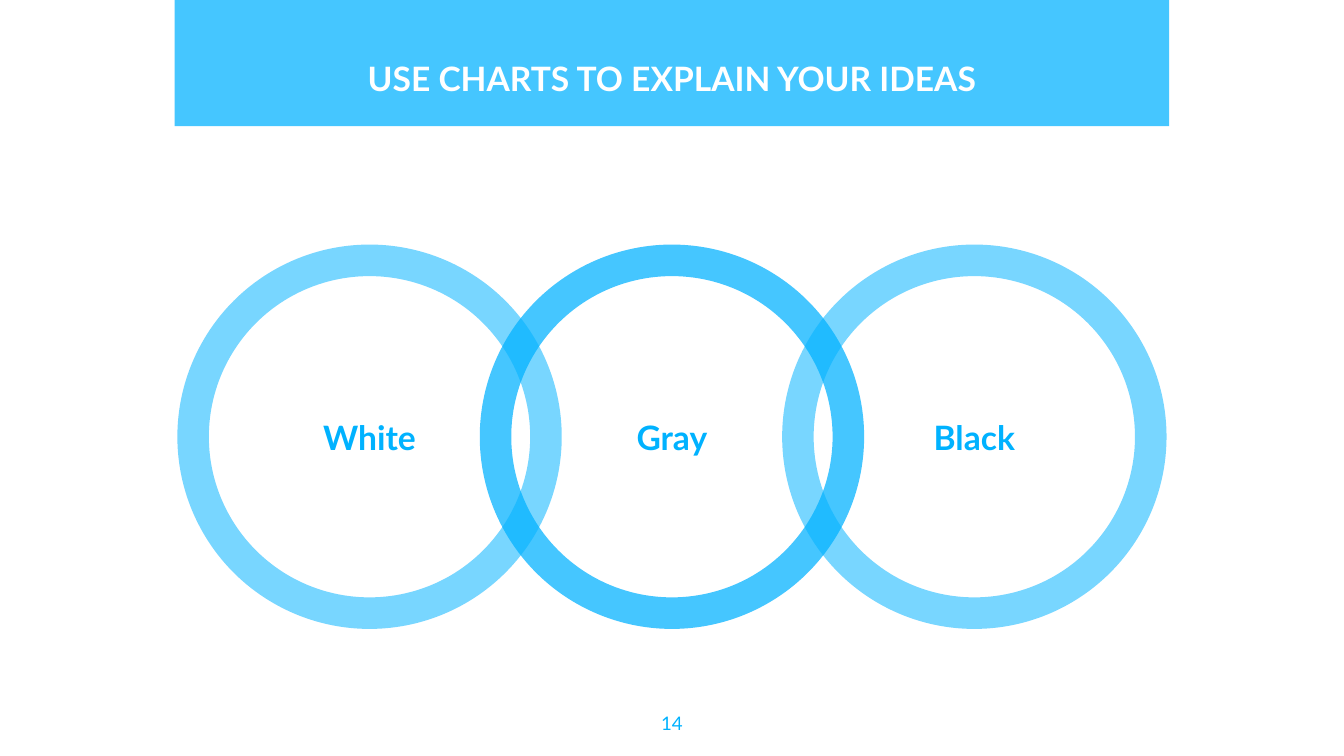
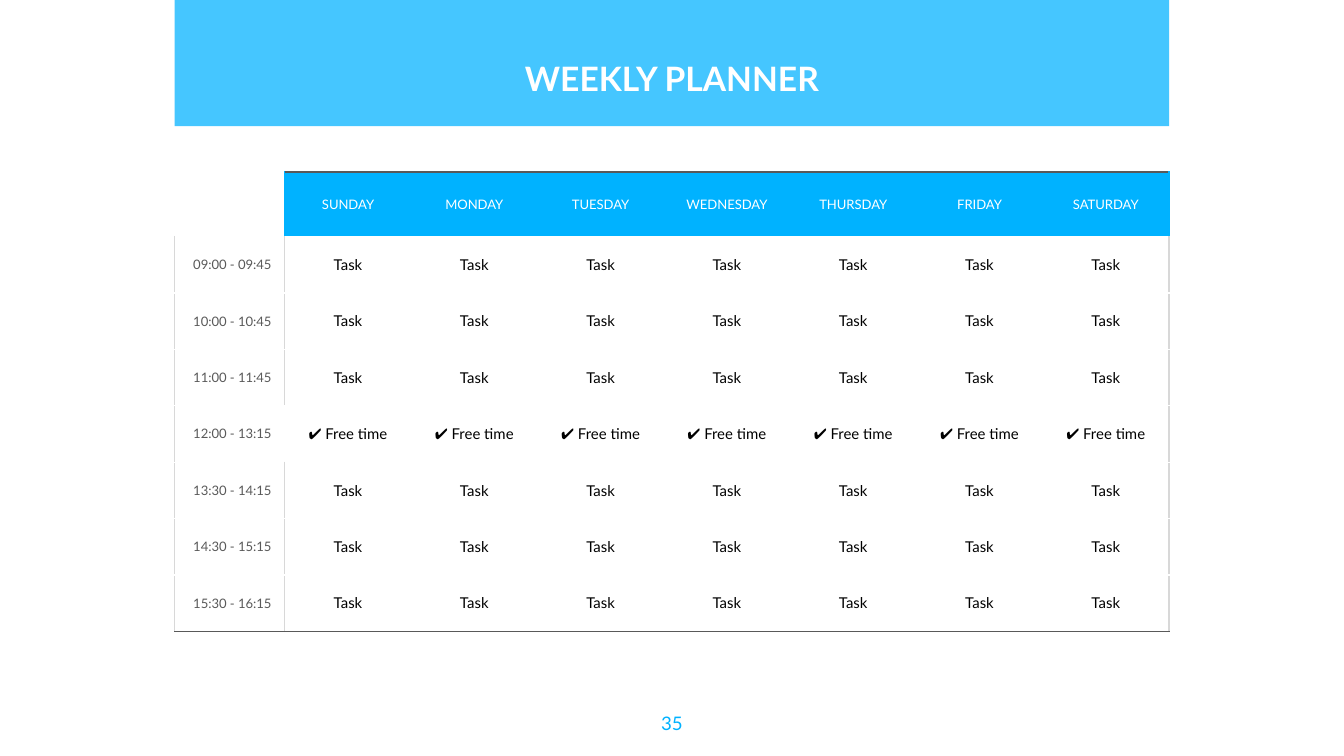
from pptx import Presentation
from pptx.dml.color import RGBColor
from pptx.enum.shapes import MSO_SHAPE
from pptx.enum.text import MSO_ANCHOR, PP_ALIGN
from pptx.oxml.ns import qn
from pptx.util import Inches, Pt
from lxml import etree

RECTANGLE, DONUT = MSO_SHAPE.RECTANGLE, MSO_SHAPE.DONUT
TOP, MIDDLE = MSO_ANCHOR.TOP, MSO_ANCHOR.MIDDLE
CENTER, RIGHT = PP_ALIGN.CENTER, PP_ALIGN.RIGHT

# Shared style
FONT = "Lato"
BLUE, WHITE, BLACK = "00B2FF", "FFFFFF", "000000"
DARK_GRAY, LIGHT_GRAY = "595959", "D8D8D8"
MARGIN = Inches(0.1)
CONTENT_LEFT, CONTENT_WIDTH = 1.3, 7.4
NO_GRID_STYLE = "{2D5ABB26-0587-4C30-8999-92F81FD0307C}"

# Planner content
DAYS = ["SUNDAY", "MONDAY", "TUESDAY", "WEDNESDAY", "THURSDAY", "FRIDAY", "SATURDAY"]
PLAN = [
    ("09:00 - 09:45", "Task"),
    ("10:00 - 10:45", "Task"),
    ("11:00 - 11:45", "Task"),
    ("12:00 - 13:15", "✔ Free time"),
    ("13:30 - 14:15", "Task"),
    ("14:30 - 15:15", "Task"),
    ("15:30 - 16:15", "Task"),
]
FREE_ROW = 4


def color(hex_string):
    return RGBColor.from_string(hex_string)


def fill_solid(fill, properties, hex_string, opacity=100):
    """Fill a shape or cell; properties is the XML element that holds the fill."""
    fill.solid()
    fill.fore_color.rgb = color(hex_string)
    if opacity < 100:
        rgb = properties.find(qn("a:solidFill")).find(qn("a:srgbClr"))
        etree.SubElement(rgb, qn("a:alpha"), val=str(opacity * 1000))


def write_text(frame, text, size, hex_string, bold=False, alignment=CENTER):
    paragraph = frame.paragraphs[0]
    paragraph.alignment = alignment
    run = paragraph.add_run()
    run.text = text
    run.font.name = FONT
    run.font.size = Pt(size)
    run.font.bold = bold
    run.font.color.rgb = color(hex_string)


def set_frame(frame, anchor):
    frame.word_wrap = True
    frame.vertical_anchor = anchor
    frame.margin_left = frame.margin_right = MARGIN
    frame.margin_top = frame.margin_bottom = MARGIN


def add_filled_shape(slide, kind, left, top, width, height, opacity):
    shape = slide.shapes.add_shape(
        kind, Inches(left), Inches(top), Inches(width), Inches(height))
    shape.shadow.inherit = False
    shape.line.fill.background()
    fill_solid(shape.fill, shape._element.spPr, BLUE, opacity)
    return shape


def add_label(slide, text, left, top, width, height, size, hex_string, bold=False):
    box = slide.shapes.add_textbox(
        Inches(left), Inches(top), Inches(width), Inches(height))
    set_frame(box.text_frame, TOP)
    write_text(box.text_frame, text, size, hex_string, bold)


def add_base_slide(presentation, title, number):
    """Slide with the title band and the page number."""
    slide = presentation.slides.add_slide(presentation.slide_layouts[6])
    add_filled_shape(slide, RECTANGLE, CONTENT_LEFT, 0, CONTENT_WIDTH, 0.94, 73)
    add_label(slide, title, CONTENT_LEFT, 0.33, CONTENT_WIDTH, 0.55, 18, WHITE, True)
    add_label(slide, number, 4.7, 5.21, 0.6, 0.41, 10, BLUE)
    return slide


def add_ring(slide, text, left, opacity):
    ring = add_filled_shape(slide, DONUT, left, 1.82, 2.86, 2.86, opacity)
    ring.adjustments[0] = 0.082
    set_frame(ring.text_frame, MIDDLE)
    write_text(ring.text_frame, text, 18, BLUE, True)


def set_borders(cell, borders):
    """Draw the given sides (L, R, T, B) in their colours; the rest stay empty."""
    properties = cell._tc.get_or_add_tcPr()
    for side in "LRTB":
        line = etree.SubElement(properties, qn(f"a:ln{side}"), w=str(Pt(0.75)))
        if side in borders:
            solid = etree.SubElement(line, qn("a:solidFill"))
            etree.SubElement(solid, qn("a:srgbClr"), val=borders[side])
        else:
            etree.SubElement(line, qn("a:noFill"))


def planner_borders(row, column):
    """Border colours by position in the planner grid."""
    last_column = len(DAYS)
    borders = {"T": WHITE, "B": DARK_GRAY if row == len(PLAN) else WHITE}
    label_edge = BLUE if row == 0 else WHITE if row == FREE_ROW else LIGHT_GRAY
    if row == 0 and column > 0:
        borders["T"] = DARK_GRAY
    if column == 0:
        borders["R"] = label_edge
        if row > 0:
            borders["L"] = LIGHT_GRAY
    elif column == 1:
        borders["L"] = label_edge
    elif column == last_column:
        borders["R"] = BLUE if row == 0 else LIGHT_GRAY
    return borders


def style_planner_cell(cell, row, column, text):
    cell.vertical_anchor = MIDDLE
    cell.margin_left = cell.margin_right = MARGIN
    cell.margin_top = cell.margin_bottom = MARGIN
    set_borders(cell, planner_borders(row, column))

    if row == 0 and column > 0:
        fill_solid(cell.fill, cell._tc.tcPr, BLUE)
    elif row == FREE_ROW:
        fill_solid(cell.fill, cell._tc.tcPr, WHITE, 27)
    else:
        cell.fill.background()

    if not text:
        cell.text_frame.paragraphs[0].font.size = Pt(7)
    elif row == 0:
        write_text(cell.text_frame, text, 7, WHITE)
    elif column == 0:
        write_text(cell.text_frame, text, 7, DARK_GRAY, alignment=RIGHT)
    else:
        write_text(cell.text_frame, text, 8, BLACK)


def add_planner(slide):
    rows = [["", *DAYS]] + [[time] + [entry] * len(DAYS) for time, entry in PLAN]
    widths = [0.82] + [0.94] * len(DAYS)
    heights = [0.48] + [0.42] * len(PLAN)
    frame = slide.shapes.add_table(
        len(rows), len(widths), Inches(CONTENT_LEFT), Inches(1.28),
        Inches(sum(widths)), Inches(sum(heights)))
    table = frame.table
    table.first_row = table.horz_banding = False
    table._tbl.tblPr.find(qn("a:tableStyleId")).text = NO_GRID_STYLE
    for column, width in zip(table.columns, widths):
        column.width = Inches(width)
    for row, height in zip(table.rows, heights):
        row.height = Inches(height)
    for row, texts in enumerate(rows):
        for column, text in enumerate(texts):
            style_planner_cell(table.cell(row, column), row, column, text)


def main():
    # Widescreen page, 16:9
    presentation = Presentation()
    presentation.slide_width = Inches(10)
    presentation.slide_height = Inches(10 * 9 / 16)

    # Overlapping rings, the middle one at the back
    slide = add_base_slide(presentation, "USE CHARTS TO EXPLAIN YOUR IDEAS", "14")
    middle_left, step = 3.57, 2.25
    for text, position, opacity in [("Gray", 0, 73), ("Black", 1, 53), ("White", -1, 53)]:
        add_ring(slide, text, middle_left + position * step, opacity)

    # Weekly planner
    slide = add_base_slide(presentation, "WEEKLY PLANNER", "35")
    add_planner(slide)

    presentation.save("out.pptx")


if __name__ == "__main__":
    main()
